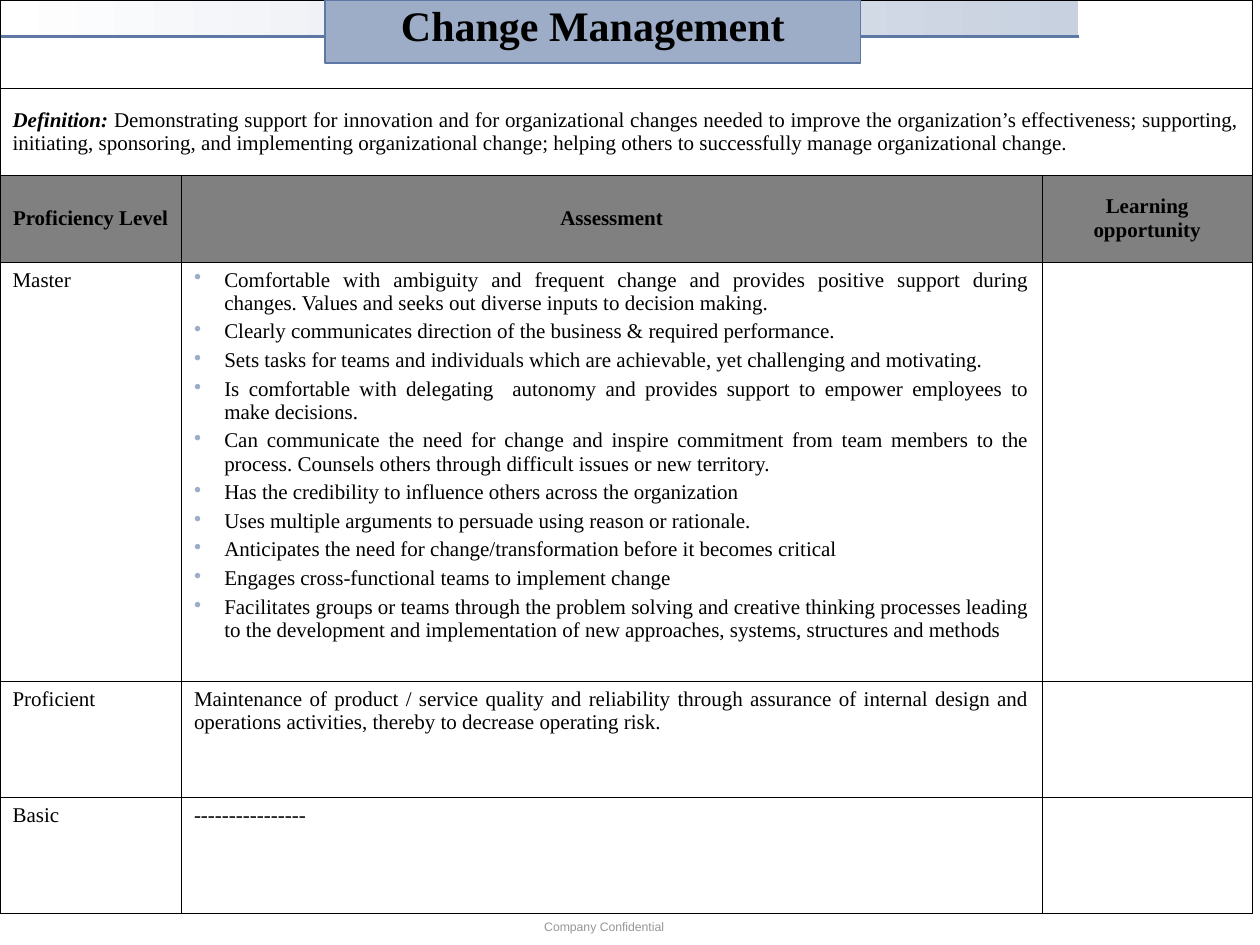
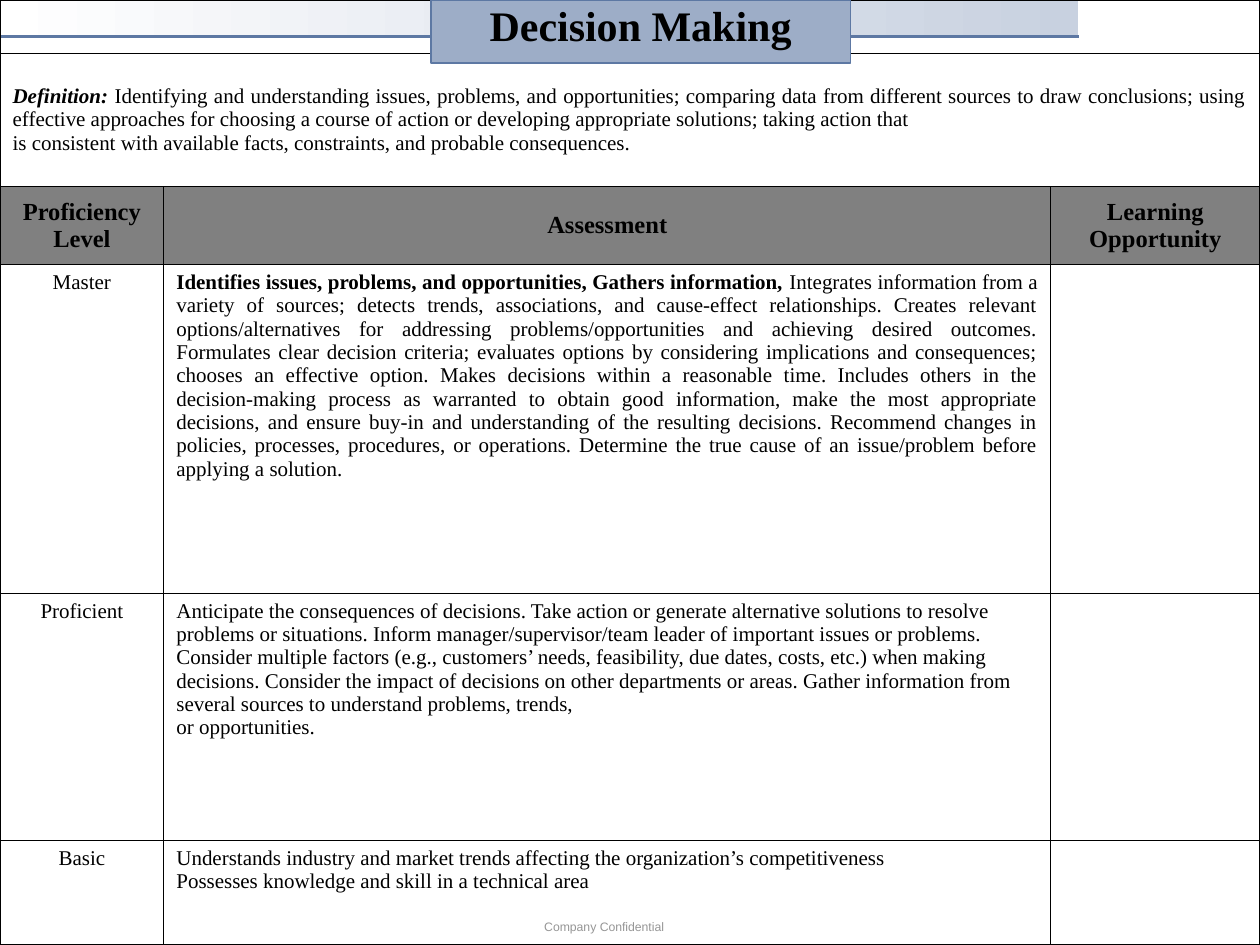
from dataclasses import dataclass

from lxml import etree
from pptx import Presentation
from pptx.dml.color import RGBColor
from pptx.enum.shapes import MSO_CONNECTOR, MSO_SHAPE
from pptx.enum.text import MSO_ANCHOR, PP_ALIGN
from pptx.oxml.ns import qn
from pptx.util import Inches, Pt

BLACK = RGBColor(0x00, 0x00, 0x00)
WHITE = RGBColor(0xFF, 0xFF, 0xFF)
HEADER_GRAY = RGBColor(0x80, 0x80, 0x80)
FOOTER_GRAY = RGBColor(0x96, 0x96, 0x96)
LIGHT_BLUE = RGBColor(0x9D, 0xAD, 0xC7)
PALE_BLUE = RGBColor(0xC8, 0xD1, 0xE0)
DARK_BLUE = RGBColor(0x5D, 0x78, 0xA3)

LEFT, CENTER, JUSTIFY = PP_ALIGN.LEFT, PP_ALIGN.CENTER, PP_ALIGN.JUSTIFY
TOP, MIDDLE = MSO_ANCHOR.TOP, MSO_ANCHOR.MIDDLE
RECTANGLE = MSO_SHAPE.RECTANGLE
STRAIGHT = MSO_CONNECTOR.STRAIGHT

OUTER_BORDER, INNER_BORDER = Pt(1.08), Pt(0.45)
BULLET_INDENT = Inches(0.24)
BODY = {"name": "Times New Roman", "size": Pt(12), "bold": False}
BOLD = {**BODY, "bold": True}
BOLD_ITALIC = {**BOLD, "italic": True}
TITLE = {**BOLD, "size": Pt(24)}
FOOTER = {"name": "Arial", "size": Pt(7)}


@dataclass
class Competency:
    title: str
    title_box: tuple
    table_box: tuple
    columns: tuple
    rows: tuple
    headers: tuple
    header_size: int
    level_alignment: PP_ALIGN
    space_before: int
    definition: list
    levels: list  # (level, assessment paragraphs, alignment, bulleted)


CHANGE_MANAGEMENT = Competency(
    title="Change Management",
    title_box=(2.58, 0, 4.25, 0.5),
    table_box=(0, 0, 9.94, 7.25),
    columns=(1.44, 6.83, 1.67),
    rows=(0.7, 0.69, 0.69, 3.33, 0.92, 0.92),
    headers=("Proficiency Level", "Assessment", "Learning opportunity"),
    header_size=12,
    level_alignment=LEFT,
    space_before=3,
    definition=[
        [("Definition: ", BOLD_ITALIC),
         ("Demonstrating support for innovation and for organizational changes needed to "
          "improve the organization’s effectiveness; supporting, initiating, sponsoring, and "
          "implementing organizational change; helping others to successfully manage "
          "organizational change.", BODY)],
    ],
    levels=[
        ("Master", [
            "Comfortable with ambiguity and frequent change and provides positive support "
            "during changes. Values and seeks out diverse inputs to decision making.",
            "Clearly communicates direction of the business & required performance.",
            "Sets tasks for teams and individuals which are achievable, yet challenging and "
            "motivating.",
            "Is comfortable with delegating  autonomy and provides support to empower "
            "employees to make decisions.",
            "Can communicate the need for change and inspire commitment from team members to "
            "the process. Counsels others through difficult issues or new territory.",
            "Has the credibility to influence others across the organization",
            "Uses multiple arguments to persuade using reason or rationale.",
            "Anticipates the need for change/transformation before it becomes critical",
            "Engages cross-functional teams to implement change",
            "Facilitates groups or teams through the problem solving and creative thinking "
            "processes leading to the development and implementation of new approaches, "
            "systems, structures and methods",
        ], JUSTIFY, True),
        ("Proficient", [
            "Maintenance of product / service quality and reliability through assurance of "
            "internal design and operations activities, thereby to decrease operating risk.",
        ], JUSTIFY, False),
        ("Basic", ["----------------"], LEFT, False),
    ],
)

DECISION_MAKING = Competency(
    title="Decision Making",
    title_box=(3.42, 0, 3.33, 0.5),
    table_box=(0, 0, 10, 7.5),
    columns=(1.3, 7.04, 1.66),
    rows=(0.42, 1.06, 0.62, 2.61, 1.96, 0.83),
    headers=("Proficiency Level", "Assessment", "Learning Opportunity"),
    header_size=14,
    level_alignment=CENTER,
    space_before=0,
    definition=[
        [("Definition: ", BOLD_ITALIC),
         ("Identifying and understanding issues, problems, and opportunities; comparing data "
          "from different sources to draw conclusions; using effective approaches for choosing "
          "a course of action or developing appropriate solutions; taking action that", BODY)],
        "is consistent with available facts, constraints, and probable consequences.",
    ],
    levels=[
        ("Master", [
            [("Identifies issues, problems, and opportunities, Gathers information, ", BOLD),
             ("Integrates information from a variety of sources; detects trends, associations, "
              "and cause-effect relationships. Creates relevant options/alternatives for "
              "addressing problems/opportunities and achieving desired outcomes. Formulates "
              "clear decision criteria; evaluates options by considering implications and "
              "consequences; chooses an effective option. Makes decisions within a reasonable "
              "time. Includes others in the decision-making process as warranted to obtain good "
              "information, make the most appropriate decisions, and ensure buy-in and "
              "understanding of the resulting decisions. Recommend changes in policies, "
              "processes, procedures, or operations. Determine the true cause of an "
              "issue/problem before applying a solution.", BODY)],
        ], JUSTIFY, False),
        ("Proficient", [
            "Anticipate the consequences of decisions. Take action or generate alternative "
            "solutions to resolve problems or situations. Inform manager/supervisor/team leader "
            "of important issues or problems.",
            "Consider multiple factors (e.g., customers’ needs, feasibility, due dates, costs, "
            "etc.) when making decisions. Consider the impact of decisions on other departments "
            "or areas. Gather information from several sources to understand problems, trends,",
            "or opportunities.",
        ], LEFT, False),
        ("Basic", [
            "Understands industry and market trends affecting the organization’s competitiveness",
            "Possesses knowledge and skill in a technical area",
        ], LEFT, False),
    ],
)


def inches(box):
    return [Inches(length) for length in box]


def set_margins(frame, horizontal, vertical):
    frame.margin_left = frame.margin_right = Inches(horizontal)
    frame.margin_top = frame.margin_bottom = Inches(vertical)


def add_bullet(paragraph):
    properties = paragraph._p.get_or_add_pPr()
    properties.set("marL", str(BULLET_INDENT))
    properties.set("indent", str(-BULLET_INDENT))
    color = etree.SubElement(properties, qn("a:buClr"))
    etree.SubElement(color, qn("a:srgbClr"), val=str(LIGHT_BLUE))
    etree.SubElement(properties, qn("a:buChar"), char="•")


def write(frame, paragraphs, font=BODY, color=BLACK, alignment=LEFT, space_before=0,
          bulleted=False):
    """Fill a text frame; a paragraph is a string or a list of (text, font) runs."""
    for index, content in enumerate(paragraphs):
        paragraph = frame.add_paragraph() if index else frame.paragraphs[0]
        paragraph.alignment = alignment
        paragraph.space_before = Pt(space_before)
        if bulleted:
            add_bullet(paragraph)
        runs = [(content, font)] if isinstance(content, str) else content
        for text, run_font in runs:
            run = paragraph.add_run()
            run.text = text
            run.font.color.rgb = color
            for name, value in run_font.items():
                setattr(run.font, name, value)


def add_band(slide, left, top, width, height):
    """Gradient strip with a rule along its lower edge."""
    strip = slide.shapes.add_shape(RECTANGLE, *inches((left, top, width, height)))
    strip.shadow.inherit = False
    strip.line.fill.background()
    strip.fill.gradient()
    strip.fill.gradient_angle = 0
    for stop, color in zip(strip.fill.gradient_stops, (WHITE, PALE_BLUE)):
        stop.color.rgb = color

    rule_y = top + height - 0.01
    rule = slide.shapes.add_connector(
        STRAIGHT, *inches((left - 0.03, rule_y, left + width, rule_y)))
    rule.line.color.rgb = DARK_BLUE
    rule.line.width = Pt(2.25)
    etree.SubElement(rule._element.spPr, qn("a:effectLst"))


def add_footer(slide, box):
    frame = slide.shapes.add_textbox(*inches(box)).text_frame
    frame.word_wrap = True
    set_margins(frame, 0.11, 0.05)
    write(frame, ["Company Confidential"], FOOTER, FOOTER_GRAY)


def add_title(slide, box, title):
    plate = slide.shapes.add_shape(RECTANGLE, *inches(box))
    plate.shadow.inherit = False
    plate.fill.solid()
    plate.fill.fore_color.rgb = LIGHT_BLUE
    plate.line.color.rgb = DARK_BLUE
    plate.line.width = Pt(1)
    frame = plate.text_frame
    frame.word_wrap = False
    frame.vertical_anchor = TOP
    set_margins(frame, 0, 0)
    write(frame, [title], TITLE, alignment=CENTER)


def set_borders(cell, outer_sides):
    properties = cell._tc.get_or_add_tcPr()
    for side in "LRTB":
        width = OUTER_BORDER if side in outer_sides else INNER_BORDER
        border = etree.SubElement(properties, qn(f"a:ln{side}"), w=str(width))
        fill = etree.SubElement(border, qn("a:solidFill"))
        etree.SubElement(fill, qn("a:srgbClr"), val=str(BLACK))


def style_cells(table):
    last_row, last_column = len(table.rows) - 1, len(table.columns) - 1
    for row in range(last_row + 1):
        for column in range(last_column + 1):
            cell = table.cell(row, column)
            if cell.is_spanned:
                continue
            at_edge = {
                "L": column == 0,
                "R": column == last_column or cell.is_merge_origin,
                "T": row == 0,
                "B": row == last_row,
            }
            set_borders(cell, [side for side, outer in at_edge.items() if outer])
            set_margins(cell, 0.1, 0.05)
            cell.vertical_anchor = MIDDLE if row in (1, 2) else TOP
            if row == 2:
                cell.fill.solid()
                cell.fill.fore_color.rgb = HEADER_GRAY
            else:
                cell.fill.background()


def add_competency_table(slide, box, competency):
    table = slide.shapes.add_table(
        len(competency.rows), len(competency.columns), *inches(box)).table
    table.first_row = table.horz_banding = False
    for column, width in zip(table.columns, competency.columns):
        column.width = Inches(width)
    for row, height in zip(table.rows, competency.rows):
        row.height = Inches(height)
    for row in (0, 1):
        table.cell(row, 0).merge(table.cell(row, len(competency.columns) - 1))
    style_cells(table)

    spacing = competency.space_before
    write(table.cell(1, 0).text_frame, competency.definition, alignment=JUSTIFY,
          space_before=spacing)
    header_font = {**BOLD, "size": Pt(competency.header_size)}
    for column, header in enumerate(competency.headers):
        write(table.cell(2, column).text_frame, [header], header_font, alignment=CENTER,
              space_before=spacing)
    for row, (level, assessment, alignment, bulleted) in enumerate(competency.levels, 3):
        write(table.cell(row, 0).text_frame, [level],
              alignment=competency.level_alignment, space_before=spacing)
        write(table.cell(row, 1).text_frame, assessment, alignment=alignment,
              space_before=spacing, bulleted=bulleted)


def add_competency_slide(presentation, competency):
    slide = presentation.slides.add_slide(presentation.slide_layouts[6])
    add_band(slide, 0, 0, 8.56, 0.3)
    add_footer(slide, (4.21, 7.25, 1.56, 0.22))
    add_competency_table(slide, competency.table_box, competency)
    add_title(slide, competency.title_box, competency.title)


def main():
    presentation = Presentation()
    presentation.slide_width = Inches(10)
    presentation.slide_height = Inches(7.5)
    for competency in (CHANGE_MANAGEMENT, DECISION_MAKING):
        add_competency_slide(presentation, competency)
    presentation.save("out.pptx")


if __name__ == "__main__":
    main()
